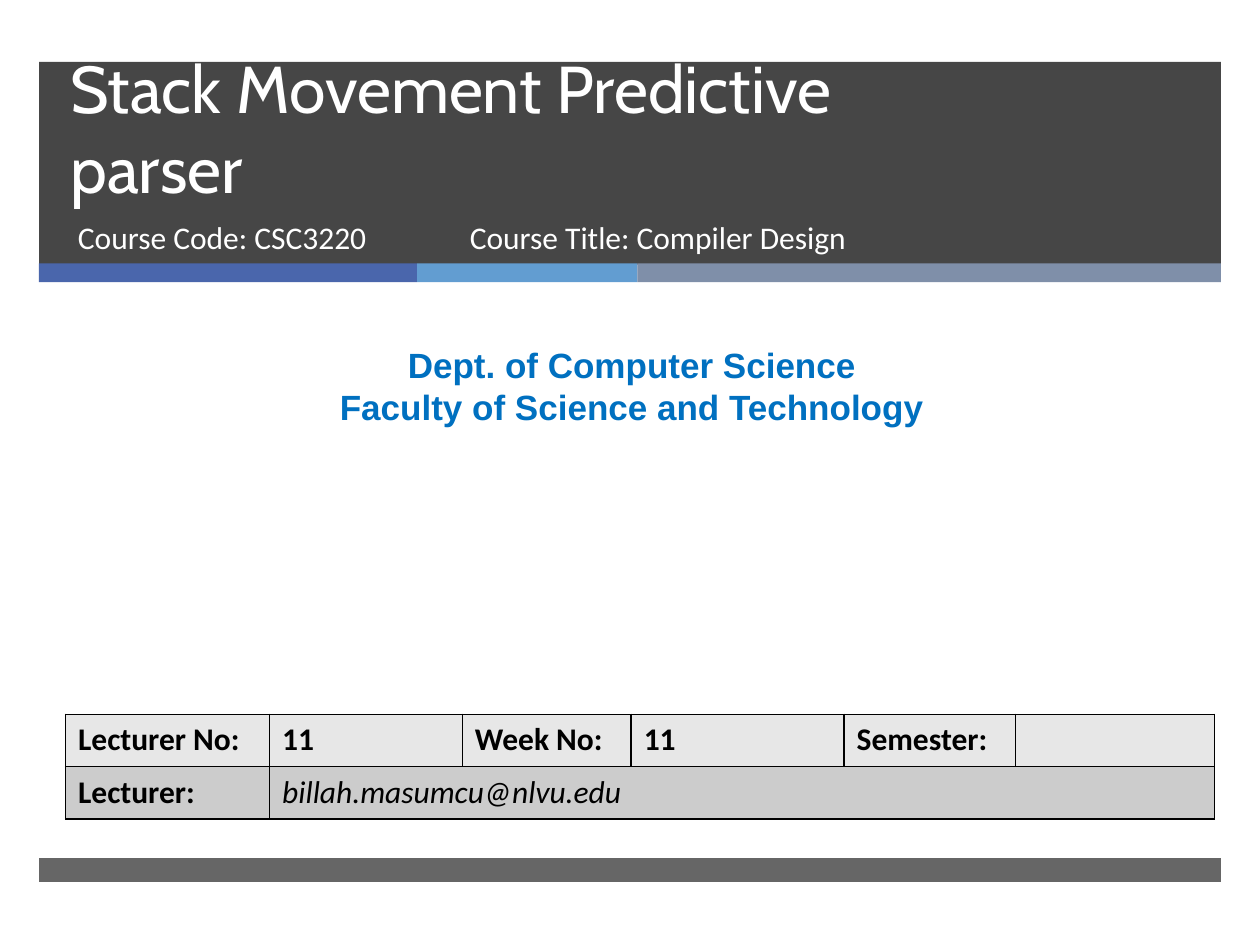
from lxml import etree
from pptx import Presentation
from pptx.dml.color import RGBColor
from pptx.enum.shapes import MSO_SHAPE
from pptx.enum.text import MSO_ANCHOR, PP_ALIGN
from pptx.oxml import parse_xml
from pptx.oxml.ns import nsdecls, qn
from pptx.util import Inches, Pt


def paint(fill, color, opacity=100):
    """Solid fill from a hex string, with opacity in percent."""
    fill.solid()
    fill.fore_color.rgb = RGBColor.from_string(color)
    if opacity < 100:
        clr = fill._xPr.find(".//" + qn("a:srgbClr"))
        etree.SubElement(clr, qn("a:alpha"), val=str(opacity * 1000))


def add_text(left, top, width, height, lines, font, size, color):
    frame = slide.shapes.add_textbox(
        Inches(left), Inches(top), Inches(width), Inches(height)).text_frame
    frame.word_wrap = True
    frame.text = lines
    for paragraph in frame.paragraphs:
        paragraph.font.name = font
        paragraph.font.size = Pt(size)
        paint(paragraph.font.fill, color)
    return frame


prs = Presentation()
prs.slide_width, prs.slide_height = Inches(10), Inches(7.5)
slide = prs.slides.add_slide(prs.slide_layouts[6])

# Header, three-colour stripe and footer
bands = [
    (0.31, 0.49, 9.38, 1.61, "262626", 85),
    (0.31, 2.09, 3, 0.15, "4A66AC", 100),
    (3.31, 2.09, 1.75, 0.15, "629DD1", 100),
    (5.06, 2.09, 4.63, 0.15, "7F8FA9", 100),
    (0.31, 6.81, 9.38, 0.19, "262626", 70),
]
for left, top, width, height, color, opacity in bands:
    band = slide.shapes.add_shape(
        MSO_SHAPE.RECTANGLE, Inches(left), Inches(top), Inches(width), Inches(height))
    band.shadow.inherit = False
    band.line.fill.background()
    paint(band.fill, color, opacity)

title = add_text(0.46, 0.5, 8.54, 1.19, "Stack Movement Predictive \vparser",
                 "Cabin", 37.8, "FFFFFF")
title.vertical_anchor = MSO_ANCHOR.BOTTOM
title.paragraphs[0].line_spacing = Pt(46)

add_text(0.52, 1.68, 3.05, 0.53, "Course Code: CSC3220", "Calibri", 18, "FFFFFF")
add_text(3.63, 1.68, 4.55, 0.53, "Course Title: Compiler Design", "Calibri", 18, "FFFFFF")

department = add_text(0.08, 2.68, 9.87, 0.77,
                      "Dept. of Computer Science\nFaculty of Science and Technology",
                      "Arial", 20, "0070C0")
for paragraph in department.paragraphs:
    paragraph.alignment = PP_ALIGN.CENTER
    paragraph.font.bold = True

# Lecture details
details = [
    ["Lecturer No:", "11", "Week No:", "11", "Semester:", ""],
    ["Lecturer:", "billah.masumcu@nlvu.edu", "", "", "", ""],
]
row_fills = ["E7E7E7", "CCCCCC"]
column_widths = [1.62, 1.53, 1.34, 1.69, 1.36, 1.58]
table = slide.shapes.add_table(
    2, 6, Inches(0.52), Inches(5.67), Inches(9.12), Inches(0.83)).table
for column, width in zip(table.columns, column_widths):
    column.width = Inches(width)

for r, (texts, row_fill) in enumerate(zip(details, row_fills)):
    for c, text in enumerate(texts):
        cell = table.cell(r, c)
        cell.text = text
        font = cell.text_frame.paragraphs[0].font
        font.name, font.size = "Calibri", Pt(18)
        is_email = "@" in text
        font.bold, font.italic = not is_email, is_email
        paint(font.fill, "000000")
        for side in ("lnL", "lnR", "lnT", "lnB"):
            cell._tc.get_or_add_tcPr().append(parse_xml(
                f'<a:{side} {nsdecls("a")} w="12700"><a:solidFill>'
                f'<a:srgbClr val="000000"/></a:solidFill></a:{side}>'))
        paint(cell.fill, row_fill)
table.cell(1, 1).merge(table.cell(1, 5))

prs.save("out.pptx")
